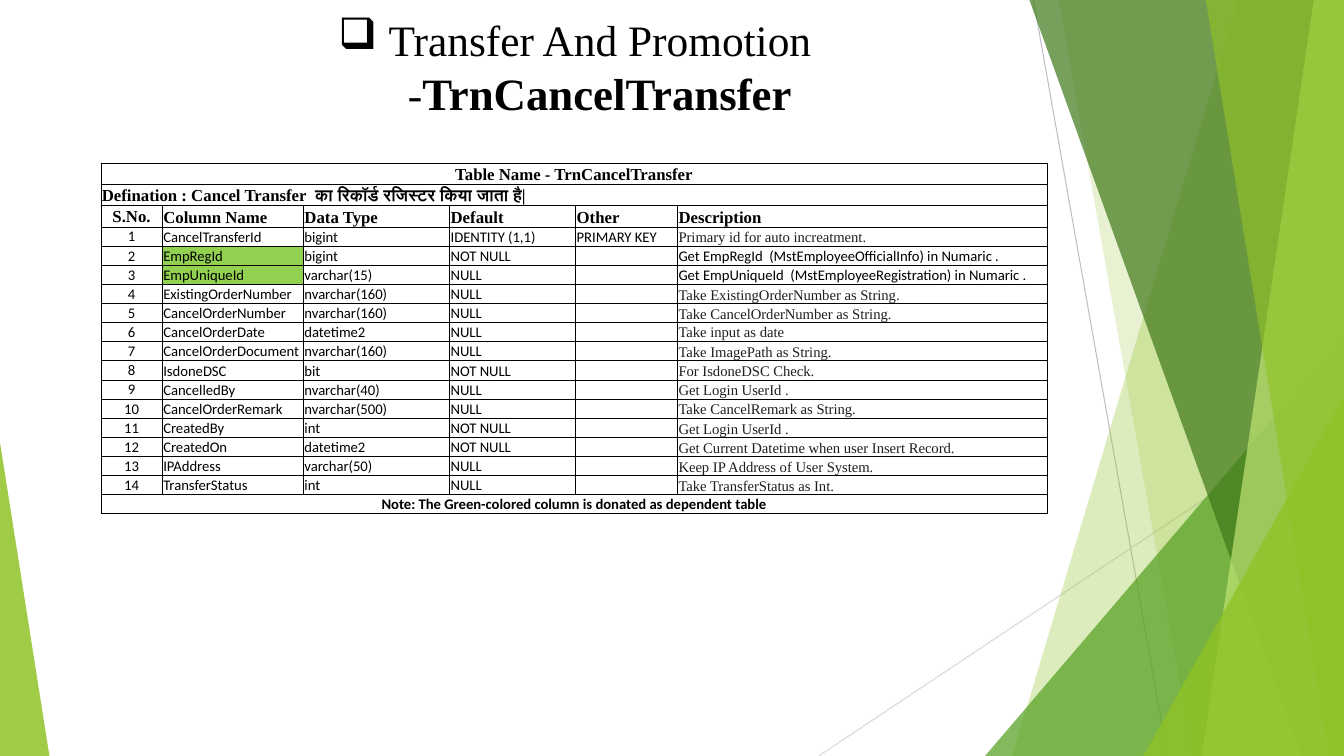
from dataclasses import dataclass

import lxml.etree
import pptx
import pptx.dml.color
import pptx.enum.shapes
import pptx.enum.text
import pptx.oxml.ns
import pptx.util

Inches = pptx.util.Inches
Pt = pptx.util.Pt
RGBColor = pptx.dml.color.RGBColor
Align = pptx.enum.text.PP_ALIGN
Anchor = pptx.enum.text.MSO_ANCHOR
qn = pptx.oxml.ns.qn

BLACK = RGBColor(0x00, 0x00, 0x00)
CHARCOAL = RGBColor(0x1F, 0x1F, 0x1F)
GREY = RGBColor(0xBF, 0xBF, 0xBF)
LIGHT_GREY = RGBColor(0xD9, 0xD9, 0xD9)
LIME = RGBColor(0x90, 0xC2, 0x26)
LEAF = RGBColor(0x54, 0xA0, 0x21)
FOREST = RGBColor(0x3F, 0x78, 0x19)
PALE_LIME = RGBColor(0xC0, 0xE4, 0x74)
DEPENDENT_GREEN = RGBColor(0x92, 0xD0, 0x50)

SERIF = "Times New Roman"
SANS = "Calibri"
WIDTH, HEIGHT = 13.33, 7.5


@dataclass(frozen=True)
class Panel:
    """A band from a slanted left edge to the right side of the slide."""
    top_x: float
    bottom_x: float
    color: RGBColor
    opacity: int


@dataclass(frozen=True)
class Corner:
    """A triangle standing on the bottom edge, with its apex at one side."""
    left: float
    top: float
    width: float
    apex: int
    color: RGBColor
    opacity: int


@dataclass(frozen=True)
class Column:
    name: str
    data_type: str
    default: str
    description: str
    other: str = ""
    dependent: bool = False


FACETS = [
    Panel(12.28, 10.04, LIME, 30),
    Panel(10.5, 11.83, LIME, 20),
    Corner(9.77, 3.33, 3.56, 1, LEAF, 72),
    Panel(10.21, 12.91, FOREST, 70),
    Panel(13.03, 11.92, PALE_LIME, 70),
    Panel(11.96, 13.18, LIME, 65),
    Corner(11.34, 3.93, 1.99, 1, LIME, 80),
    Corner(0, 4.39, 0.49, 0, LIME, 85),
]

TABLE_NAME = "Table Name - TrnCancelTransfer"
DEFINITION = "Defination : Cancel Transfer  का रिकॉर्ड रजिस्टर किया जाता है|"
NOTE = "Note: The Green-colored column is donated as dependent table"
HEADINGS = ["S.No.", "Column Name", "Data Type", "Default", "Other", "Description"]
COLUMN_WIDTHS = [0.61, 1.4, 1.45, 1.25, 1.01, 3.67]
COLUMNS = [
    Column("CancelTransferId", "bigint", "IDENTITY (1,1)",
           "Primary id for auto increatment.", other="PRIMARY KEY"),
    Column("EmpRegId", "bigint", "NOT NULL",
           "Get EmpRegId  (MstEmployeeOfficialInfo) in Numaric .", dependent=True),
    Column("EmpUniqueId", "varchar(15)", "NULL",
           "Get EmpUniqueId  (MstEmployeeRegistration) in Numaric .", dependent=True),
    Column("ExistingOrderNumber", "nvarchar(160)", "NULL",
           "Take ExistingOrderNumber as String."),
    Column("CancelOrderNumber", "nvarchar(160)", "NULL",
           "Take CancelOrderNumber as String."),
    Column("CancelOrderDate", "datetime2", "NULL", "Take input as date"),
    Column("CancelOrderDocument", "nvarchar(160)", "NULL", "Take ImagePath as String."),
    Column("IsdoneDSC", "bit", "NOT NULL", "For IsdoneDSC Check."),
    Column("CancelledBy", "nvarchar(40)", "NULL", "Get Login UserId ."),
    Column("CancelOrderRemark", "nvarchar(500)", "NULL", "Take CancelRemark as String."),
    Column("CreatedBy", "int", "NOT NULL", "Get Login UserId ."),
    Column("CreatedOn", "datetime2", "NOT NULL",
           "Get Current Datetime when user Insert Record."),
    Column("IPAddress", "varchar(50)", "NULL", "Keep IP Address of User System."),
    Column("TransferStatus", "int", "NULL", "Take TransferStatus as Int."),
]


def write(paragraph, text: str, *, size: float = 10.5, font: str = SANS,
          color: RGBColor = BLACK, bold: bool = False, align: Align = Align.LEFT) -> None:
    """Append text to the paragraph; empty text only sets the line's size."""
    paragraph.alignment = align
    if not text:
        lxml.etree.SubElement(paragraph._p, qn("a:endParaRPr"), sz=str(int(size * 100)))
        return
    run = paragraph.add_run()
    run.text = text
    run.font.size = Pt(size)
    run.font.name = font
    run.font.bold = bold
    run.font.color.rgb = color


def draw_line(slide, start: tuple[float, float], end: tuple[float, float],
              color: RGBColor) -> None:
    line = slide.shapes.add_connector(
        pptx.enum.shapes.MSO_CONNECTOR.STRAIGHT, *map(Inches, start + end))
    line.line.color.rgb = color
    line.line.width = Pt(0.75)
    lxml.etree.SubElement(line._element.spPr, qn("a:effectLst"))


def draw_facet(slide, facet: Panel | Corner) -> None:
    if isinstance(facet, Panel):
        outline = slide.shapes.build_freeform(
            Inches(facet.top_x), 0, scale=1.0)
        outline.add_line_segments([
            (Inches(WIDTH), 0), (Inches(WIDTH), Inches(HEIGHT)),
            (Inches(facet.bottom_x), Inches(HEIGHT))], close=True)
        shape = outline.convert_to_shape()
    else:
        shape = slide.shapes.add_shape(
            pptx.enum.shapes.MSO_SHAPE.ISOSCELES_TRIANGLE, Inches(facet.left),
            Inches(facet.top), Inches(facet.width), Inches(HEIGHT - facet.top))
        shape.adjustments[0] = facet.apex
    shape.shadow.inherit = False
    shape.line.fill.background()
    shape.fill.solid()
    shape.fill.fore_color.rgb = facet.color
    tint = shape._element.spPr.find(qn("a:solidFill"))[0]
    lxml.etree.SubElement(tint, qn("a:alpha"), val=str(facet.opacity * 1000))


def draw_title(slide) -> None:
    title = slide.shapes.add_textbox(
        Inches(1.56), Inches(0.08), Inches(8.28), Inches(1.16)).text_frame
    title.word_wrap = True
    title.vertical_anchor = Anchor.MIDDLE
    heading = title.paragraphs[0]
    write(heading, "Transfer And Promotion -", size=31, font=SERIF, align=Align.CENTER)
    write(heading, "TrnCancelTransfer", size=32, font=SERIF, bold=True, align=Align.CENTER)
    properties = heading._p.get_or_add_pPr()
    properties.set("marL", str(Inches(0.5)))
    properties.set("indent", str(Inches(-0.5)))
    lxml.etree.SubElement(properties, qn("a:buChar"), char="❑")


def fill_cell(cell, text: str, *, anchor: Anchor = Anchor.BOTTOM,
              fill: RGBColor | None = None, **text_format) -> None:
    cell.margin_left = cell.margin_right = cell.margin_top = Inches(0.01)
    cell.margin_bottom = 0
    cell.vertical_anchor = anchor
    write(cell.text_frame.paragraphs[0], text, **text_format)
    properties = cell._tc.get_or_add_tcPr()
    for side in ("lnL", "lnR", "lnT", "lnB"):
        border = lxml.etree.SubElement(properties, qn(f"a:{side}"), w=str(Pt(0.5)))
        paint = lxml.etree.SubElement(border, qn("a:solidFill"))
        lxml.etree.SubElement(paint, qn("a:srgbClr"), val=str(BLACK))
    if fill is None:
        cell.fill.background()
    else:
        cell.fill.solid()
        cell.fill.fore_color.rgb = fill


def draw_table(slide) -> None:
    row_count, last = len(COLUMNS) + 4, len(HEADINGS) - 1
    table = slide.shapes.add_table(
        row_count, len(HEADINGS), Inches(1), Inches(1.62), Inches(9.4), Inches(3.49)).table
    table.first_row = table.horz_banding = False
    for column, width in zip(table.columns, COLUMN_WIDTHS):
        column.width = Inches(width)
    for index, row in enumerate(table.rows):
        row.height = Inches(0.2 if index in (0, 2) else 0.19)

    heading_format = dict(size=12, font=SERIF, bold=True)
    banners = [
        (0, TABLE_NAME, dict(heading_format, align=Align.CENTER)),
        (1, DEFINITION, heading_format),
        (row_count - 1, NOTE, dict(bold=True, align=Align.CENTER)),
    ]
    for row, text, text_format in banners:
        for column in range(last + 1):
            fill_cell(table.cell(row, column), "" if column else text, **text_format)
        table.cell(row, 0).merge(table.cell(row, last))

    number_format = dict(anchor=Anchor.MIDDLE, align=Align.CENTER)
    for index, heading in enumerate(HEADINGS):
        fill_cell(table.cell(2, index), heading, **heading_format,
                  **({} if index else number_format))

    for number, entry in enumerate(COLUMNS, start=1):
        cells = table.rows[number + 2].cells
        fill_cell(cells[0], str(number), **number_format)
        fill_cell(cells[1], entry.name, fill=DEPENDENT_GREEN if entry.dependent else None)
        for cell, text in zip(list(cells)[2:5], (entry.data_type, entry.default, entry.other)):
            fill_cell(cell, text)
        description_format = {} if entry.dependent else dict(font=SERIF, color=CHARCOAL)
        fill_cell(cells[5], entry.description, **description_format,
                  anchor=Anchor.MIDDLE if entry.name == "CancelOrderDate" else Anchor.BOTTOM)


def main() -> None:
    deck = pptx.Presentation()
    deck.slide_width, deck.slide_height = Inches(WIDTH), Inches(HEIGHT)
    slide = deck.slides.add_slide(deck.slide_layouts[6])
    draw_line(slide, (10.25, 0), (11.58, HEIGHT), GREY)
    draw_line(slide, (WIDTH, 4.03), (8.12, HEIGHT), LIGHT_GREY)
    for facet in FACETS:
        draw_facet(slide, facet)
    draw_title(slide)
    draw_table(slide)
    deck.save("out.pptx")


if __name__ == "__main__":
    main()
